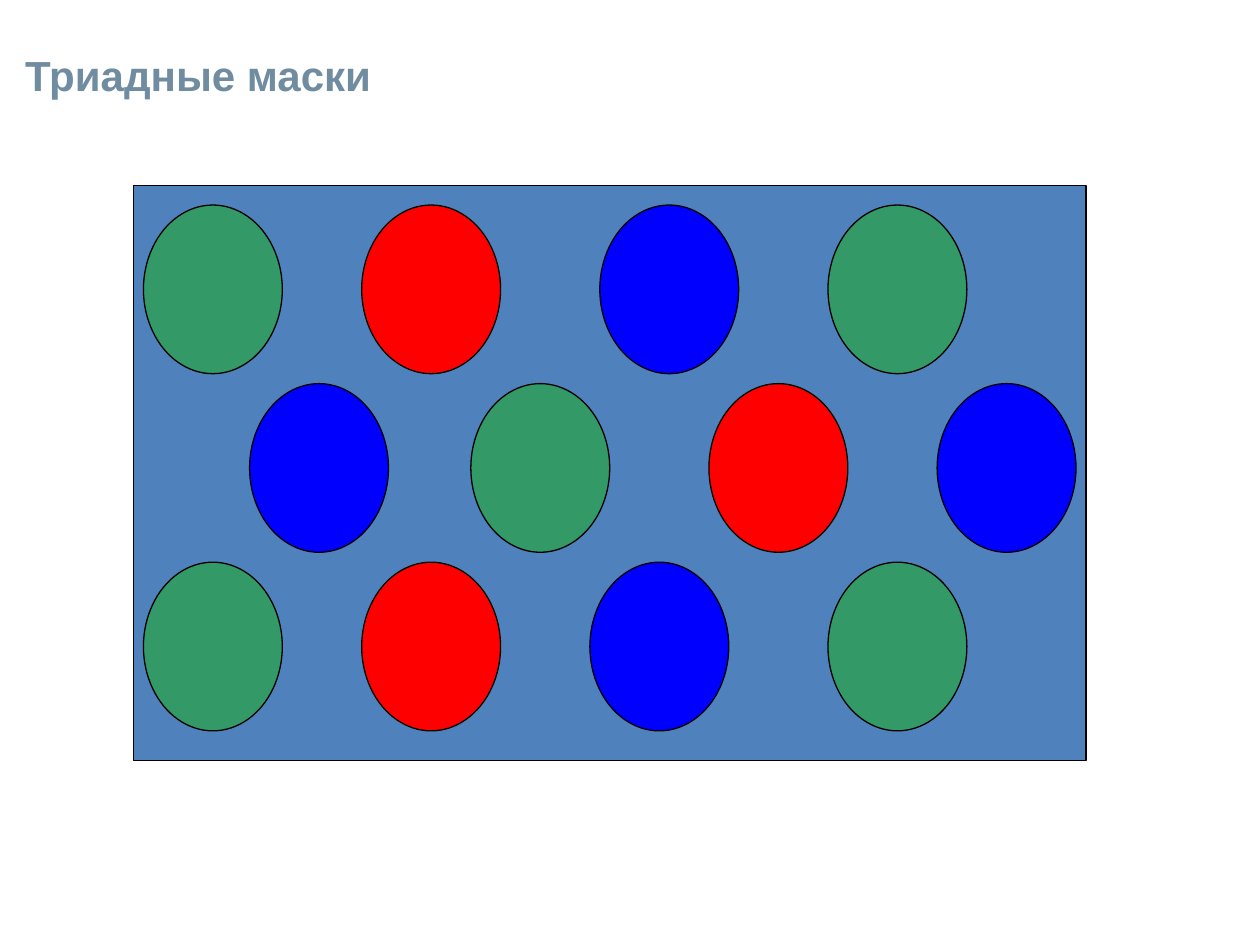
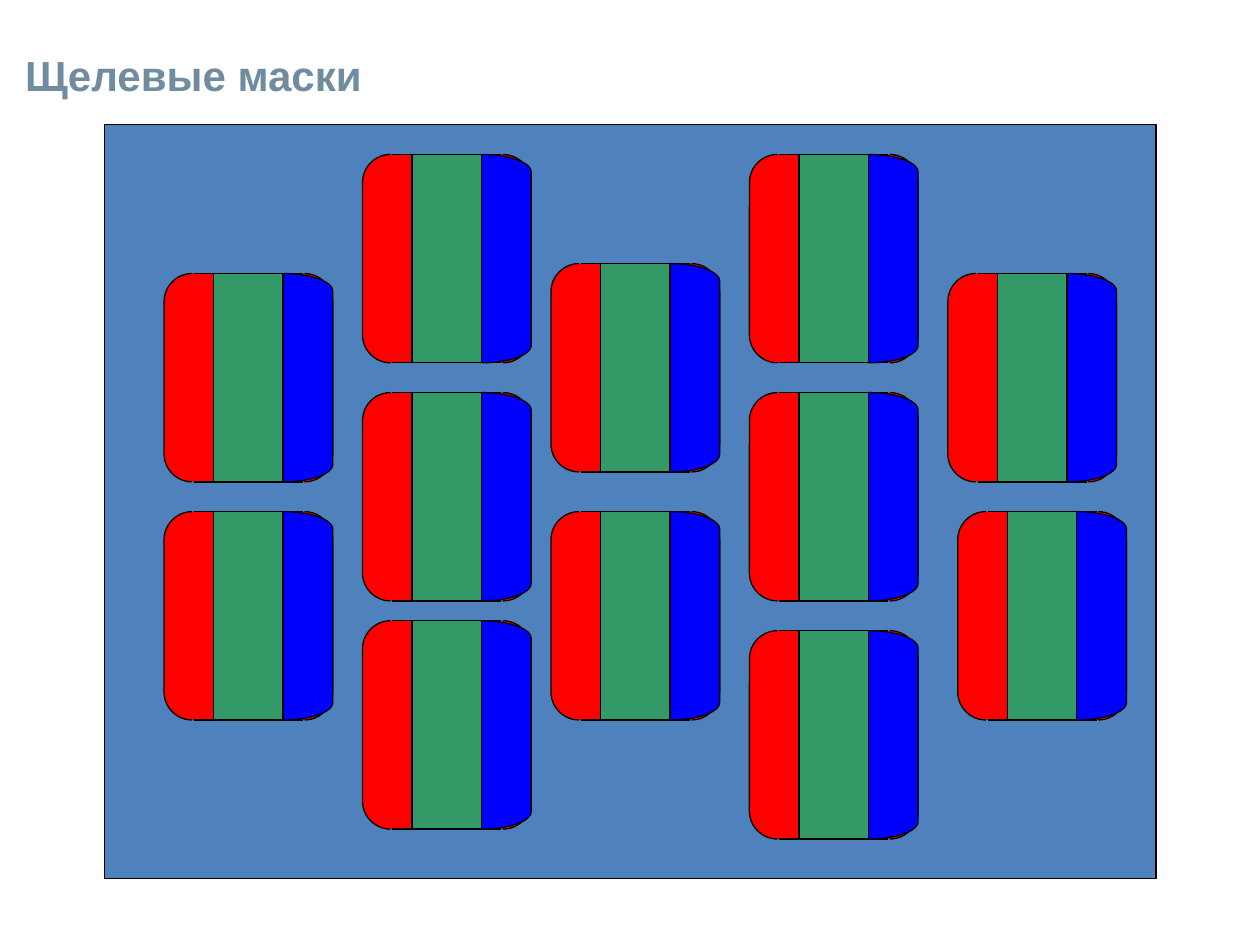
from dataclasses import dataclass
from itertools import cycle, islice

from lxml.etree import SubElement
from pptx import Presentation
from pptx.dml.color import RGBColor
from pptx.enum.shapes import MSO_CONNECTOR, MSO_SHAPE as Preset
from pptx.enum.text import MSO_ANCHOR, MSO_AUTO_SIZE, PP_ALIGN
from pptx.oxml.ns import qn
from pptx.util import Inches, Mm, Pt


@dataclass(frozen=True)
class Theme:
    title: str = "708CA1"
    board: str = "4F81BD"
    red: str = "FF0000"
    green: str = "339966"
    blue: str = "0000FF"
    outline: str = "000000"
    font: str = "Arial"
    title_size: int = 24
    line_width: float = 0.75


@dataclass(frozen=True)
class Box:
    """An area measured in square grid cells from its top left corner."""
    left: int
    top: int
    columns: float
    rows: float

    def area(self, column, row, columns, rows):
        return Box(self.left + int(column * CELL), self.top + int(row * CELL),
                   columns, rows)

    def frame(self):
        return self.left, self.top, int(self.columns * CELL), int(self.rows * CELL)


THEME = Theme()
CELL = Mm(2)
TITLE_ONLY = 5

# Dot mask: (row, column of each dot, colours repeated along the row)
DOT_SIZE = (14, 17)
DOT_ROWS = [
    (2, (1, 23, 47, 70), (THEME.green, THEME.red, THEME.blue)),
    (20, (11.7, 34, 58, 81), (THEME.blue, THEME.green, THEME.red)),
    (38, (1, 23, 46, 70), (THEME.green, THEME.red, THEME.blue)),
]

# Slot mask: (column, row) of each slot
SLOT_SIZE = (17, 21)
SLOTS = [
    (6, 15), (6, 39),
    (26, 3), (26, 27), (26, 50),
    (45, 14), (45, 39),
    (65, 3), (65, 27), (65, 51),
    (85, 15), (86, 39),
]


def set_line(line):
    line.color.rgb = RGBColor.from_string(THEME.outline)
    line.width = Pt(THEME.line_width)


def add_filled(shapes, preset, box, colour, adjust=None):
    shape = shapes.add_shape(preset, *box.frame())
    shape.shadow.inherit = False
    shape.fill.solid()
    shape.fill.fore_color.rgb = RGBColor.from_string(colour)
    set_line(shape.line)
    if adjust is not None:
        shape.adjustments[0] = adjust


def add_edge(shapes, box):
    """Draw a straight line along a box that has no width or no height."""
    left, top, width, height = box.frame()
    edge = shapes.add_connector(MSO_CONNECTOR.STRAIGHT, left, top,
                                left + width, top + height)
    set_line(edge.line)
    SubElement(edge._element.spPr, qn("a:effectLst"))


def add_titled_page(deck, text):
    page = deck.slides.add_slide(deck.slide_layouts[TITLE_ONLY])
    title = page.shapes.title
    title.left, title.top = 0, Inches(0.31)
    title.width, title.height = int(deck.slide_width * 0.9), Inches(0.56)
    frame = title.text_frame
    frame.text = text
    frame.word_wrap = True
    frame.auto_size = MSO_AUTO_SIZE.NONE
    frame.vertical_anchor = MSO_ANCHOR.MIDDLE
    frame.margin_left = Inches(0.2)
    para = frame.paragraphs[0]
    para.alignment = PP_ALIGN.LEFT
    para.font.name = THEME.font
    para.font.size = Pt(THEME.title_size)
    para.font.bold = True
    para.font.color.rgb = RGBColor.from_string(THEME.title)
    return page


def add_board(page, box):
    """Return the shapes of a new group that starts with the board."""
    shapes = page.shapes.add_group_shape().shapes
    add_filled(shapes, Preset.RECTANGLE, box, THEME.board)
    return shapes


def add_dot_mask(page, box):
    shapes = add_board(page, box)
    for row, columns, colours in DOT_ROWS:
        for column, colour in zip(columns, islice(cycle(colours), len(columns))):
            add_filled(shapes, Preset.OVAL, box.area(column, row, *DOT_SIZE), colour)


def add_slot(shapes, box):
    height = box.rows
    # Red body with its top and bottom edges
    add_filled(shapes, Preset.DOUBLE_BRACKET, box, THEME.red, 0.167)
    for row in (0, height):
        add_edge(shapes, box.area(3, row, 11, 0))
    # Green and blue stripes
    add_filled(shapes, Preset.RECTANGLE, box.area(5, 0, 7, height), THEME.green)
    add_filled(shapes, Preset.RIGHT_BRACKET, box.area(12, 0, 5, height),
               THEME.blue, 0.35)
    add_edge(shapes, box.area(12, 0, 0, height))


def add_slot_mask(page, box):
    shapes = add_board(page, box)
    for column, row in SLOTS:
        add_slot(shapes, box.area(column, row, *SLOT_SIZE))


def main():
    deck = Presentation()
    deck.slide_width, deck.slide_height = Inches(10), Inches(7.5)

    dots = add_titled_page(deck, "Триадные маски")
    add_dot_mask(dots, Box(Inches(1.06), Inches(1.47), 96, 58))

    slots = add_titled_page(deck, "Щелевые маски")
    add_slot_mask(slots, Box(Inches(0.83), Inches(0.99), 106, 76))

    deck.save("out.pptx")


if __name__ == "__main__":
    main()
